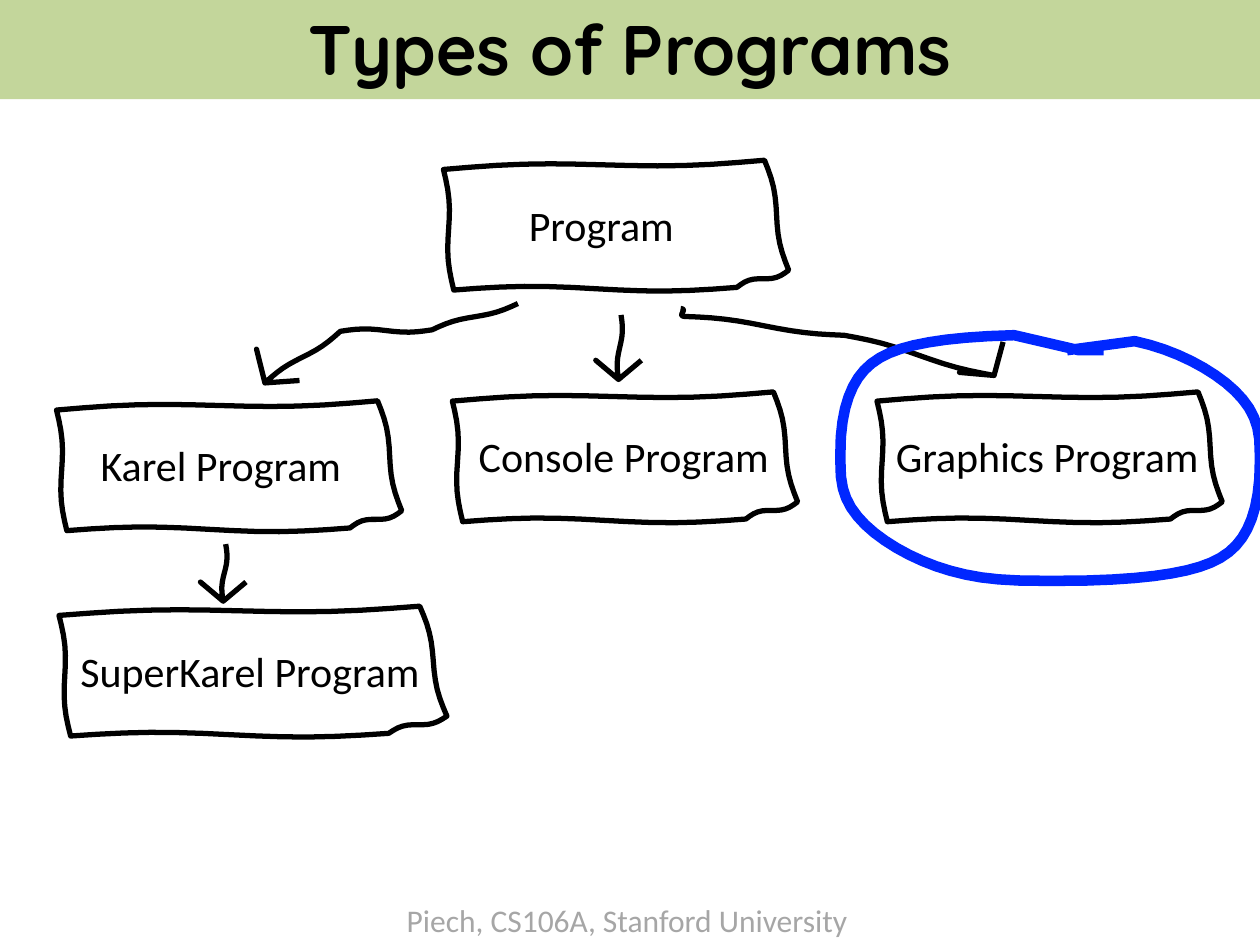
import dataclasses
import itertools
import math

import pptx
import pptx.dml.color
import pptx.enum.text
import pptx.util

Cm = pptx.util.Cm
Pt = pptx.util.Pt

BLACK, GREEN, BLUE, GREY = "000000", "C3D69B", "0027FF", "A6A6A6"
BOX_HEIGHT = 2.67
LABEL_DROP = 0.66
LABEL_HEIGHT = 1.27
BARB_SPREAD = 50


@dataclasses.dataclass
class Program:
    """A class in the hierarchy: its box, and its label within the box."""
    text: str
    left: float
    top: float
    width: float
    indent: float
    label_width: float


@dataclasses.dataclass
class Arrow:
    """A shaft through waypoints, with a head pointing at an angle in degrees."""
    waypoints: list
    heading: float
    barb: float


PROGRAMS = [
    Program("Program", 8.94, 3.23, 6.96, 1.47, 3.45),
    Program("Karel Program", 1.14, 8.08, 6.96, 0.64, 5.41),
    Program("Console Program", 9.12, 7.9, 6.96, 0.28, 6.4),
    Program("Graphics Program", 17.68, 7.9, 6.96, 0.13, 6.68),
    Program("SuperKarel Program", 1.19, 12.22, 7.82, 0.18, 7.42),
]

PROGRAM_TO_KAREL = Arrow([(10.44, 6.12), (8.71, 6.65), (6.86, 6.68), (5.34, 7.72)], 126, 0.7)
PROGRAM_TO_CONSOLE = Arrow([(12.52, 6.35), (12.47, 7.65)], 90, 0.6)
PROGRAM_TO_GRAPHICS = Arrow([(13.72, 6.22), (13.8, 6.38), (17.02, 6.76), (20.04, 7.57)], 55, 0.7)
KAREL_TO_SUPERKAREL = Arrow([(4.55, 10.97), (4.5, 12.12)], 90, 0.6)
ARROWS = [PROGRAM_TO_KAREL, PROGRAM_TO_CONSOLE, PROGRAM_TO_GRAPHICS, KAREL_TO_SUPERKAREL]


def rgb(value):
    """Turn a hex string into a colour."""
    return pptx.dml.color.RGBColor.from_string(value)


def set_font(p, name, size, color, bold=False):
    """Format a whole paragraph."""
    p.font.name = name
    p.font.size = Pt(size)
    p.font.bold = bold
    p.font.color.rgb = rgb(color)


def wavy_path(corners, wobble, steps=12):
    """Join the corners by lines that each sway through one sine wave."""
    points = [corners[0]]
    for (x1, y1), (x2, y2) in itertools.pairwise(corners):
        dx, dy = x2 - x1, y2 - y1
        length = math.hypot(dx, dy)
        for step in range(1, steps + 1):
            t = step / steps
            sway = wobble * length * math.sin(2 * math.pi * t) / length
            points.append((x1 + t * dx + sway * dy / length,
                           y1 + t * dy - sway * dx / length))
    return points


def polar(origin, angle, length):
    """Find the point at an angle in degrees and a length from the origin."""
    x, y = origin
    radians = math.radians(angle)
    return x + length * math.cos(radians), y + length * math.sin(radians)


def signed_power(value, power):
    """Raise the size of a value to a power and keep its sign."""
    return math.copysign(abs(value) ** power, value)


def loop_path(center, radii, start, end, step=-5):
    """Trace a rounded loop that is squarer at top left and bottom right."""
    points = []
    for angle in range(start, end + step, step):
        a = math.radians(angle)
        power = 0.75 - 0.15 * math.sin(2 * a)
        points.append((center[0] + radii[0] * signed_power(math.cos(a), power),
                       center[1] + radii[1] * signed_power(math.sin(a), power)))
    return points


def add_stroke(s, points, color=BLACK, weight=3, close=False):
    """Draw an unfilled stroke through points given in centimetres."""
    start, *rest = [(Cm(x), Cm(y)) for x, y in points]
    builder = s.shapes.build_freeform(*start)
    builder.add_line_segments(rest, close=close)
    sp = builder.convert_to_shape()
    sp.shadow.inherit = False
    sp.fill.background()
    sp.line.color.rgb = rgb(color)
    sp.line.width = Pt(weight)


def add_title(s, text):
    """Fill the title placeholder and turn it into a full-width band."""
    sp = s.shapes.title
    sp.left, sp.top, sp.width, sp.height = Cm(0), Cm(-0.08), Cm(25.4), Cm(2.08)
    sp.fill.solid()
    sp.fill.fore_color.rgb = rgb(GREEN)
    tf = sp.text_frame
    tf.text = text
    tf.auto_size = pptx.enum.text.MSO_AUTO_SIZE.NONE
    tf.vertical_anchor = pptx.enum.text.MSO_ANCHOR.MIDDLE
    p = tf.paragraphs[0]
    p.alignment = pptx.enum.text.PP_ALIGN.CENTER
    set_font(p, "Quicksand", 40, BLACK, True)


def add_label(s, text, left, top, width, height, size=24, color=BLACK):
    """Add one line of unwrapped text."""
    tf = s.shapes.add_textbox(Cm(left), Cm(top), Cm(width), Cm(height)).text_frame
    tf.word_wrap = False
    tf.auto_size = pptx.enum.text.MSO_AUTO_SIZE.SHAPE_TO_FIT_TEXT
    p = tf.paragraphs[0]
    p.text = text
    set_font(p, "Calibri", size, color)


def add_program(s, program):
    """Draw a program's wobbly box and its label."""
    top_left, top_right = (0, 0.07), (0.93, 0)
    right_tip, lower_right, bottom_left = (1, 0.83), (0.85, 0.96), (0.03, 0.98)
    corners = [(program.left + x * program.width, program.top + y * BOX_HEIGHT)
               for x, y in (top_left, top_right, right_tip, lower_right, bottom_left, top_left)]
    add_stroke(s, wavy_path(corners, 0.06)[:-1], close=True)
    add_label(s, program.text, program.left + program.indent, program.top + LABEL_DROP,
              program.label_width, LABEL_HEIGHT)


def add_arrow(s, arrow):
    """Draw a swaying shaft and an open head in one stroke."""
    tip = arrow.waypoints[-1]
    back = arrow.heading + 180
    barbs = [polar(tip, back + turn, arrow.barb) for turn in (-BARB_SPREAD, BARB_SPREAD)]
    add_stroke(s, wavy_path(arrow.waypoints, 0.04) + [barbs[0], tip, barbs[1]])


def add_highlight(s):
    """Circle the graphics program with a loop whose ends overlap."""
    loop = loop_path(center=(21.17, 9.23), radii=(4.23, 2.48), start=-95, end=-430)
    pen_down, pen_up = [(22.25, 7.06), (21.75, 7.06)], [(21.51, 7.06)]
    add_stroke(s, pen_down + loop + pen_up, BLUE, 6)


def main():
    """Build the slide and save it."""
    prs = pptx.Presentation()
    prs.slide_width, prs.slide_height = Cm(25.4), Cm(19.05)
    s = prs.slides.add_slide(prs.slide_layouts[5])
    add_title(s, "Types of Programs")
    add_label(s, "Piech, CS106A, Stanford University", 7.95, 18.03, 9.5, 1.02, 18, GREY)
    for program in PROGRAMS:
        add_program(s, program)
    for arrow in ARROWS:
        add_arrow(s, arrow)
    add_highlight(s)
    prs.save("out.pptx")


if __name__ == "__main__":
    main()
